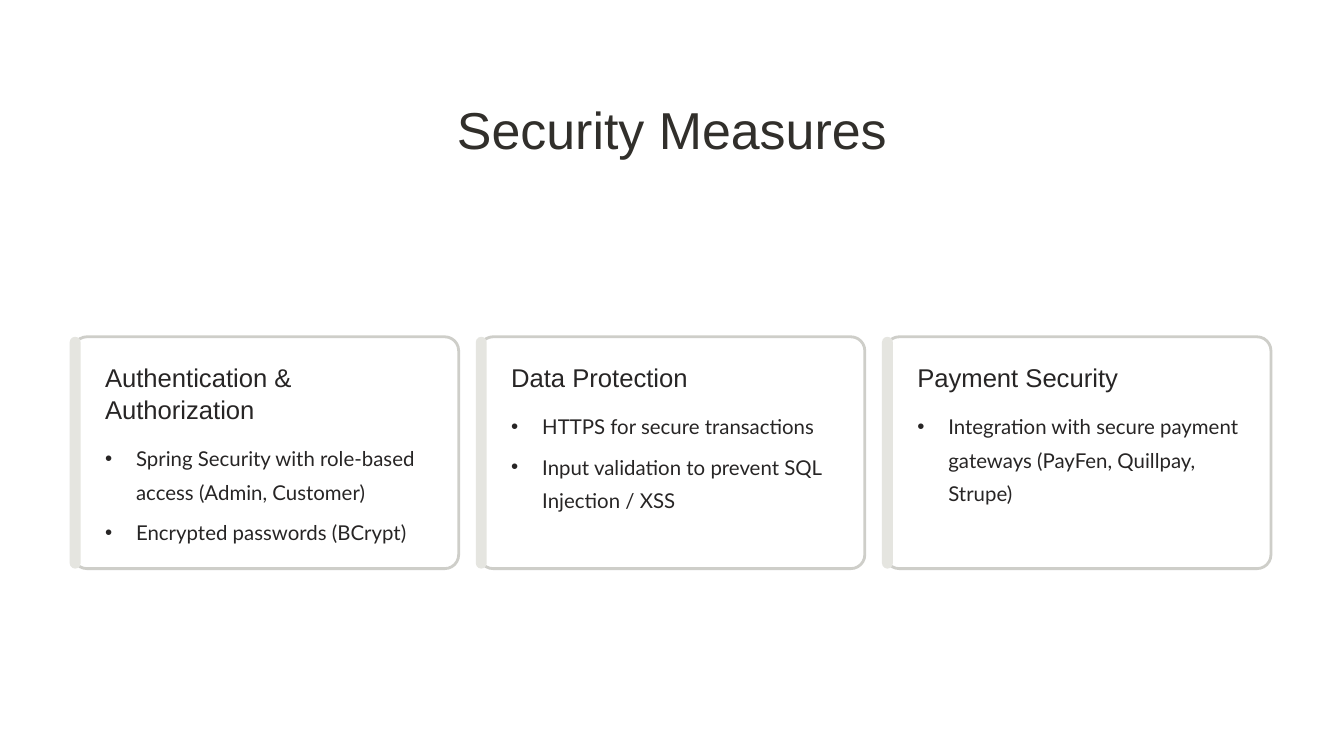
import pptx
import pptx.util
import pptx.dml.color
import pptx.enum.shapes
import pptx.enum.text
import pptx.oxml.ns
import lxml.etree

Inches = pptx.util.Inches
Pt = pptx.util.Pt
RGBColor = pptx.dml.color.RGBColor
MSO_SHAPE = pptx.enum.shapes.MSO_SHAPE
PP_ALIGN = pptx.enum.text.PP_ALIGN
qn = pptx.oxml.ns.qn

TITLE_INK = RGBColor(0x31, 0x2F, 0x2B)
INK = RGBColor(0x27, 0x25, 0x25)
WHITE = RGBColor(0xFF, 0xFF, 0xFF)
BORDER = RGBColor(0xCE, 0xCE, 0xC9)
ACCENT = RGBColor(0xE5, 0xE5, 0xE0)

CARDS = [
    ("Authentication & Authorization",
     ["Spring Security with role-based access (Admin, Customer)",
      "Encrypted passwords (BCrypt)"]),
    ("Data Protection",
     ["HTTPS for secure transactions",
      "Input validation to prevent SQL Injection / XSS"]),
    ("Payment Security",
     ["Integration with secure payment gateways (PayFen, Quillpay, Strupe)"]),
]
CARD_LEFT, CARD_TOP, CARD_PITCH = 0.87, 4.01, 4.835
CARD_WIDTH, CARD_HEIGHT = 4.59, 2.76


def write(tf, text, size, line, font="Arial", color=INK, align=PP_ALIGN.LEFT,
          before=0, bullet=False):
    p = tf.paragraphs[0] if not tf.text else tf.add_paragraph()
    pPr = p._p.get_or_add_pPr()
    indent = Inches(0.37) if bullet else 0
    pPr.set("marL", str(indent))
    pPr.set("indent", str(-indent))
    if bullet:
        lxml.etree.SubElement(pPr, qn("a:buChar")).set("char", "•")
    else:
        lxml.etree.SubElement(pPr, qn("a:buNone"))
    p.alignment = align
    p.line_spacing = Pt(line)
    p.space_before = Pt(before)
    p.space_after = Pt(0)
    r = p.add_run()
    r.text = text
    r.font.name = font
    r.font.size = Pt(size)
    r.font.bold = False
    r.font.color.rgb = color


def place(sp, left, top, width, height):
    sp.left, sp.top = Inches(left), Inches(top)
    sp.width, sp.height = Inches(width), Inches(height)
    tf = sp.text_frame
    tf.margin_left = tf.margin_top = tf.margin_right = tf.margin_bottom = 0
    tf.auto_size = pptx.enum.text.MSO_AUTO_SIZE.NONE
    tf.vertical_anchor = pptx.enum.text.MSO_ANCHOR.TOP
    tf.word_wrap = True
    return tf


prs = pptx.Presentation()
prs.slide_width, prs.slide_height = Inches(16), Inches(9)
s = prs.slides.add_slide(prs.slide_layouts.get_by_name("Comparison"))

tf = place(s.shapes.title, 4.9, 1.13, 6.2, 0.78)
write(tf, "Security Measures", 44.5, 55.5, color=TITLE_INK, align=PP_ALIGN.CENTER)

title, *bodies, spare = list(s.placeholders)
spare._element.getparent().remove(spare._element)

for i, (body, (heading, points)) in enumerate(zip(bodies, CARDS)):
    left = CARD_LEFT + i * CARD_PITCH

    card = s.shapes.add_shape(MSO_SHAPE.ROUNDED_RECTANGLE, Inches(left), Inches(CARD_TOP),
                              Inches(CARD_WIDTH), Inches(CARD_HEIGHT))
    card.adjustments[0] = 0.06
    card.fill.solid()
    card.fill.fore_color.rgb = WHITE
    color = card._element.spPr.find(qn("a:solidFill"))[0]
    lxml.etree.SubElement(color, qn("a:alpha")).set("val", "95000")
    card.line.color.rgb = BORDER
    card.line.width = Pt(2.4)
    card.shadow.inherit = False

    bar = s.shapes.add_shape(MSO_SHAPE.ROUNDED_RECTANGLE, Inches(left - 0.04), Inches(CARD_TOP),
                             Inches(0.13), Inches(CARD_HEIGHT))
    bar.adjustments[0] = 0.5
    bar.fill.solid()
    bar.fill.fore_color.rgb = ACCENT
    bar.line.fill.background()
    bar.shadow.inherit = False

    s.shapes._spTree.append(body._element)
    tf = place(body, left + 0.38, 4.29, 3.93, 2.3)
    write(tf, heading, 22, 27.5)
    for n, point in enumerate(points):
        write(tf, point, 17.5, 28.5, font="Lato", before=6 if n else 11.3, bullet=True)

prs.save("out.pptx")
